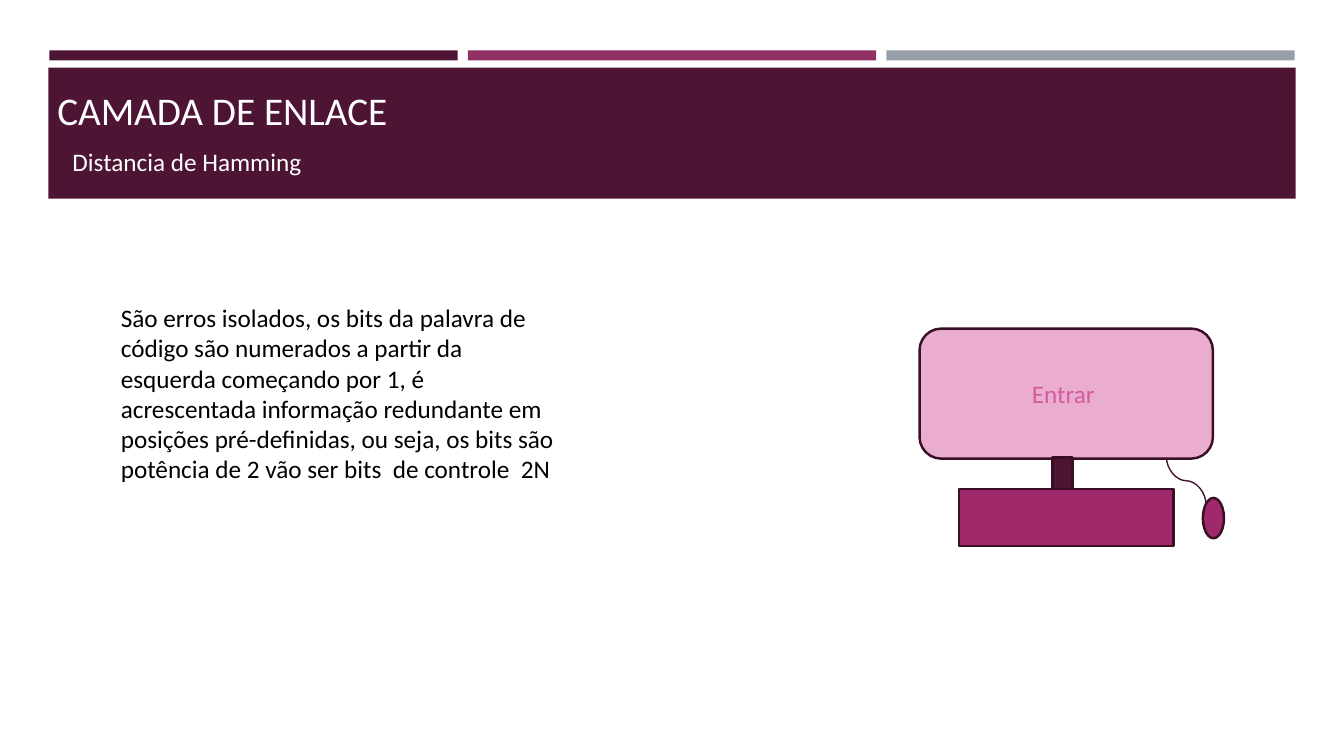
"""Build the Hamming distance slide with its computer drawing."""
import pptx
import pptx.dml.color
import pptx.enum.shapes
import pptx.enum.text
import pptx.oxml
import pptx.oxml.ns
import pptx.util

Inches = pptx.util.Inches
SHAPES = pptx.enum.shapes.MSO_SHAPE
ANCHORS = pptx.enum.text.MSO_ANCHOR
ALIGNMENTS = pptx.enum.text.PP_ALIGN
PLUM = "4D1434"
MAGENTA = "9F296B"
OUTLINE = "390F26"
BODY = (
    "São erros isolados, os bits da palavra de código são numerados a partir da "
    "esquerda começando por 1, é acrescentada informação redundante em posições "
    "pré-definidas, ou seja, os bits são potência de 2 vão ser bits  de controle  2N"
)


def color(value):
    """Turn a hex string into a colour."""
    return pptx.dml.color.RGBColor.from_string(value)


def write_text(shape, text, text_color, size=18, anchor=ANCHORS.TOP,
               alignment=ALIGNMENTS.LEFT, wrap=True):
    """Put one formatted paragraph into a shape."""
    frame = shape.text_frame
    frame.word_wrap = wrap
    frame.vertical_anchor = anchor
    paragraph = frame.paragraphs[0]
    paragraph.alignment = alignment
    run = paragraph.add_run()
    run.text = text
    for name, value in {"name": "Calibri", "size": pptx.util.Pt(size)}.items():
        setattr(run.font, name, value)
    run.font.color.rgb = color(text_color)


def add_text(slide, box, text, text_color, **text_format):
    """Add a text box."""
    shape = slide.shapes.add_textbox(*map(Inches, box))
    write_text(shape, text, text_color, **text_format)


def add_block(slide, kind, box, fill, line=None):
    """Add a filled preset shape, outlined when a line colour is given."""
    shape = slide.shapes.add_shape(kind, *map(Inches, box))
    shape.shadow.inherit = False
    shape.fill.solid()
    shape.fill.fore_color.rgb = color(fill)
    if line:
        shape.line.color.rgb = color(line)
        shape.line.width = pptx.util.Pt(1.75)
    else:
        shape.line.fill.background()
    return shape


def add_cable(slide, start, end, line):
    """Add a curved connector that leaves and arrives vertically."""
    center_x, center_y = ((a + b) / 2 for a, b in zip(start, end))
    half_width = abs(start[1] - end[1]) / 2
    half_height = abs(start[0] - end[0]) / 2
    corners = (center_x - half_width, center_y + half_height,
               center_x + half_width, center_y - half_height)
    connector = slide.shapes.add_connector(
        pptx.enum.shapes.MSO_CONNECTOR.CURVE, *map(Inches, corners))
    connector.line.color.rgb = color(line)
    connector.line.width = pptx.util.Pt(1)
    properties = connector._element.spPr
    properties.find(pptx.oxml.ns.qn("a:xfrm")).set("rot", "16200000")
    properties.append(pptx.oxml.parse_xml(
        "<a:effectLst %s/>" % pptx.oxml.ns.nsdecls("a")))


def add_header(slide):
    """Add the three bars, the title band and its two texts."""
    for index, fill in enumerate((PLUM, "903163", "969FA7")):
        add_block(slide, SHAPES.RECTANGLE, (0.49 + index * 4.15, 0.5, 4.05, 0.1), fill)
    add_block(slide, SHAPES.RECTANGLE, (0.48, 0.67, 12.37, 1.3), PLUM)
    add_text(slide, (0.47, 0.26, 12.06, 1.11), "CAMADA DE ENLACE", "FFFFFF",
             size=28, anchor=ANCHORS.BOTTOM)
    add_text(slide, (0.62, 1.4, 2.55, 0.4), "Distancia de Hamming", "FFFFFF", wrap=False)


def add_computer(slide):
    """Draw the screen, base, mouse, cable and stand."""
    screen = add_block(slide, SHAPES.ROUNDED_RECTANGLE, (9.12, 3.26, 2.91, 1.29),
                       "EAADCF", OUTLINE)
    write_text(screen, "Entrar ", "D45B9F", anchor=ANCHORS.MIDDLE,
               alignment=ALIGNMENTS.CENTER)
    add_block(slide, SHAPES.RECTANGLE, (9.51, 4.85, 2.13, 0.57), MAGENTA, OUTLINE)
    add_block(slide, SHAPES.OVAL, (11.93, 4.94, 0.21, 0.4), MAGENTA, OUTLINE)
    add_cable(slide, (11.96, 5), (11.57, 4.54), "45122F")
    add_block(slide, SHAPES.RECTANGLE, (10.44, 4.54, 0.2, 0.31), PLUM, OUTLINE)


def main():
    """Build and save the slide."""
    presentation = pptx.Presentation()
    presentation.slide_width = Inches(13.33)
    presentation.slide_height = Inches(7.5)
    slide = presentation.slides.add_slide(presentation.slide_layouts[6])
    add_header(slide)
    add_text(slide, (1.1, 2.95, 4.52, 2.22), BODY, "000000")
    add_computer(slide)
    presentation.save("out.pptx")


main()
